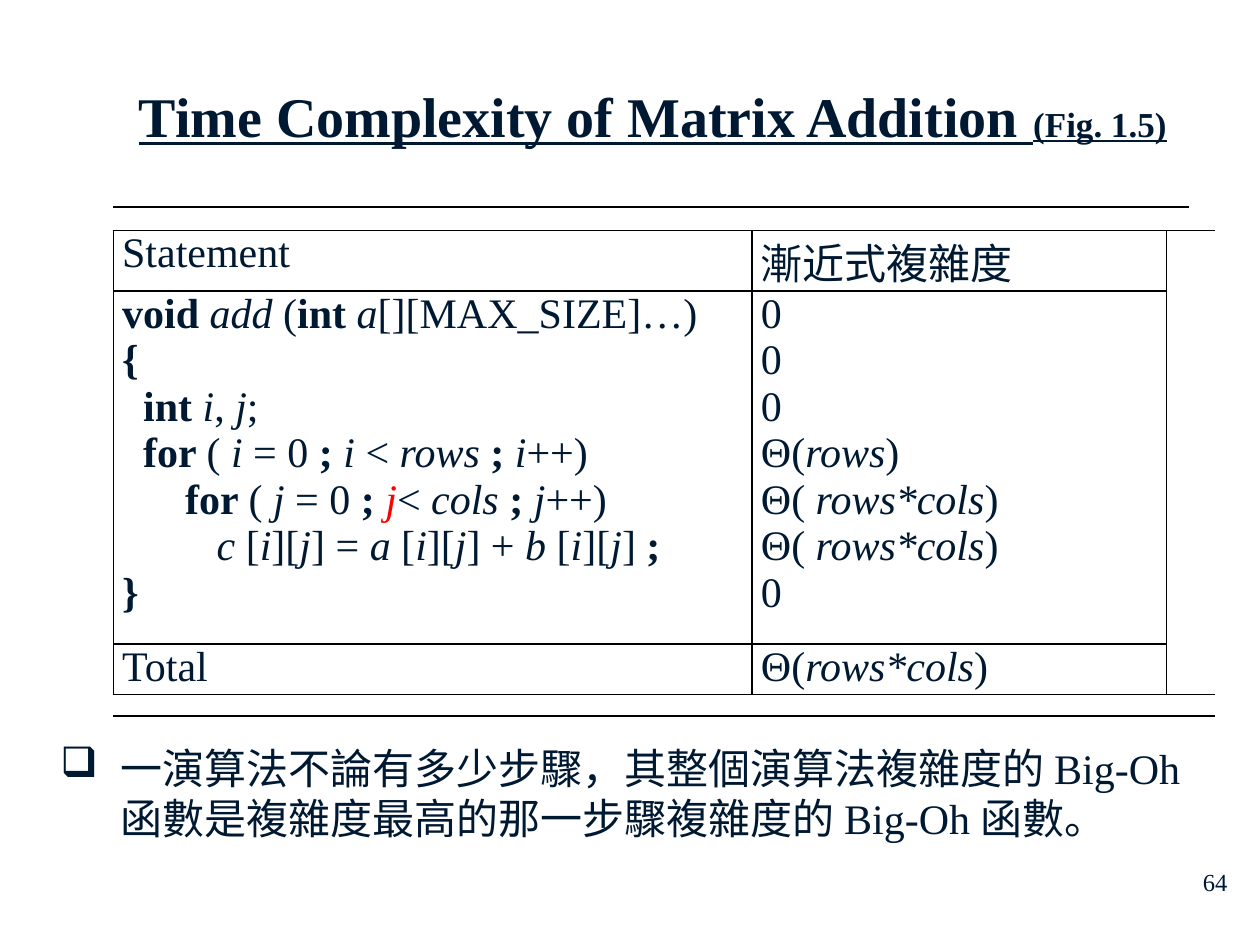
from lxml import etree
from pptx import Presentation
from pptx.dml.color import RGBColor
from pptx.enum import text
from pptx.oxml import ns
from pptx.util import Inches, Pt

NAVY = RGBColor(0x00, 0x19, 0x32)
RED = RGBColor(0xFF, 0x00, 0x00)
FONT = "Times New Roman"

TITLE = [("Time Complexity of Matrix Addition ", 32), ("(Fig. 1.5)", 20)]
# ^ switches bold, ~ switches italic, $ switches red
HEADER = ("Statement", "漸近式複雜度")
STEPS = [
    ("^void^~ add ~(^int ^~a~[][MAX_SIZE]…)", "0"),
    ("^{^", "0"),
    ("  ^int ^~i~, ~j~;", "0"),
    ("^  for ^( ~i~ = 0 ^; ^~i~ <~ rows~^ ; ^~i~++)", "Θ(~rows~)"),
    ("      ^for ^( ~j~ = 0 ^; ^~$j$~<~ cols~^ ; ^~j~++)", "Θ(~ rows*cols~)"),
    ("         ~c ~[~i~][~j~] = ~a~ [~i~][~j~] + ~b~ [~i~][~j~]^ ;^", "Θ(~ rows*cols~)"),
    ("^}^", "0"),
]
TOTAL = ("Total", "Θ(~rows*cols~)")
CONCLUSION = "一演算法不論有多少步驟，其整個演算法複雜度的 Big-Oh函數是複雜度最高的那一步驟複雜度的 Big-Oh 函數。"
PAGE = "64"

COLUMN_WIDTHS = [5.07, 3.29, 0.18, 0.2]
ROW_HEIGHTS = [0.19, 0.48, 2.58, 0.37, 0.17]
THIN, THICK = 1, 1.5
NO_STYLE = "{2D5ABB26-0587-4C30-8999-92F81FD0307C}"


def add_run(paragraph, words, size, color=NAVY, **formats):
    run = paragraph.add_run()
    run.text = words
    run.font.color.rgb = color
    for name, value in {"name": FONT, "size": Pt(size), **formats}.items():
        setattr(run.font, name, value)


def add_marked(paragraph, marked):
    """Write a line as runs, switching styles at the ^ ~ $ marks."""
    active, words = set(), ""
    for char in marked + "^":
        if char not in "^~$":
            words += char
            continue
        if words:
            add_run(paragraph, words, 24, RED if "$" in active else NAVY,
                    bold="^" in active, italic="~" in active)
        active ^= {char}
        words = ""


def set_indent(paragraph, inches):
    properties = paragraph._p.get_or_add_pPr()
    properties.set("marL", str(Inches(inches)))
    properties.set("indent", str(-Inches(inches)))
    return properties


def write_cell(cell, lines, hanging=0):
    cell.margin_left = cell.margin_right = Inches(0.07)
    for index, line in enumerate(lines):
        frame = cell.text_frame
        paragraph = frame.add_paragraph() if index else frame.paragraphs[0]
        if hanging:
            set_indent(paragraph, hanging)
        add_marked(paragraph, line)


def set_borders(cell, widths):
    """Draw the sides given in widths (L, R, T, B) and hide the others."""
    properties = cell._tc.get_or_add_tcPr()
    for side in "LRTB":
        line = etree.SubElement(properties, ns.qn(f"a:ln{side}"))
        if side in widths:
            line.set("w", str(Pt(widths[side])))
            fill = etree.SubElement(line, ns.qn("a:solidFill"))
            etree.SubElement(fill, ns.qn("a:srgbClr"), val="000000")
        else:
            etree.SubElement(line, ns.qn("a:noFill"))


def borders_at(row, column):
    if row == 0:
        sides = {"T": THICK} if column < 3 else {}
        return {**sides, "B": THIN} if column < 2 else sides
    if row == len(ROW_HEIGHTS) - 1:
        return {"T": THIN, "B": THICK}
    if column < 2:
        return dict.fromkeys("LRTB", THIN)
    sides = {"L": THIN} if column == 2 else {}
    return {**sides, "B": THIN} if row == len(ROW_HEIGHTS) - 2 else sides


def add_complexity_table(slide):
    frame = slide.shapes.add_table(
        len(ROW_HEIGHTS), len(COLUMN_WIDTHS), Inches(0.9), Inches(1.64),
        Inches(sum(COLUMN_WIDTHS)), Inches(sum(ROW_HEIGHTS)))
    table = frame.table
    table.first_row = table.horz_banding = False
    table._tbl.tblPr.find(ns.qn("a:tableStyleId")).text = NO_STYLE
    for column, width in zip(table.columns, COLUMN_WIDTHS):
        column.width = Inches(width)
    for r, height in enumerate(ROW_HEIGHTS):
        table.rows[r].height = Inches(height)
        for c in range(len(COLUMN_WIDTHS)):
            cell = table.cell(r, c)
            for side in ("left", "right", "top", "bottom"):
                setattr(cell, f"margin_{side}", 0)
            set_borders(cell, borders_at(r, c))
            cell.fill.background()
            if c > 1 or r in (0, len(ROW_HEIGHTS) - 1):
                etree.SubElement(cell.text_frame.paragraphs[0]._p,
                                 ns.qn("a:endParaRPr"), sz="600")

    table.cell(0, 0).merge(table.cell(0, 2))
    table.cell(4, 0).merge(table.cell(4, 3))
    for r in (1, 2, 3):
        table.cell(r, 2).merge(table.cell(r, 3))
    for c in (0, 1):
        write_cell(table.cell(1, c), [HEADER[c]])
        write_cell(table.cell(2, c), [step[c] for step in STEPS], 0 if c else 1.08)
        write_cell(table.cell(3, c), [TOTAL[c]])


def add_text_box(slide, *box):
    frame = slide.shapes.add_textbox(*map(Inches, box)).text_frame
    frame.word_wrap = True
    return frame.paragraphs[0]


def main():
    deck = Presentation()
    deck.slide_width, deck.slide_height = Inches(10), Inches(7.5)
    slide = deck.slides.add_slide(deck.slide_layouts[5])

    title = slide.shapes.title
    title.left, title.top, title.width, title.height = map(Inches, (0.93, 0.46, 8.5, 0.77))
    title.text_frame.vertical_anchor = text.MSO_ANCHOR.BOTTOM
    title.text_frame.auto_size = text.MSO_AUTO_SIZE.NONE
    heading = title.text_frame.paragraphs[0]
    heading.alignment = text.PP_ALIGN.CENTER
    for words, size in TITLE:
        add_run(heading, words, size, bold=True, underline=True)

    page = add_text_box(slide, 7.76, 6.83, 2.08, 0.5)
    page.alignment = text.PP_ALIGN.RIGHT
    add_run(page, PAGE, 14)

    add_complexity_table(slide)

    conclusion = add_text_box(slide, 0.38, 5.84, 9.25, 0.91)
    properties = set_indent(conclusion, 0.48)
    etree.SubElement(properties, ns.qn("a:buChar"), char="❑")
    add_run(conclusion, CONCLUSION, 24)

    deck.save("out.pptx")


if __name__ == "__main__":
    main()
